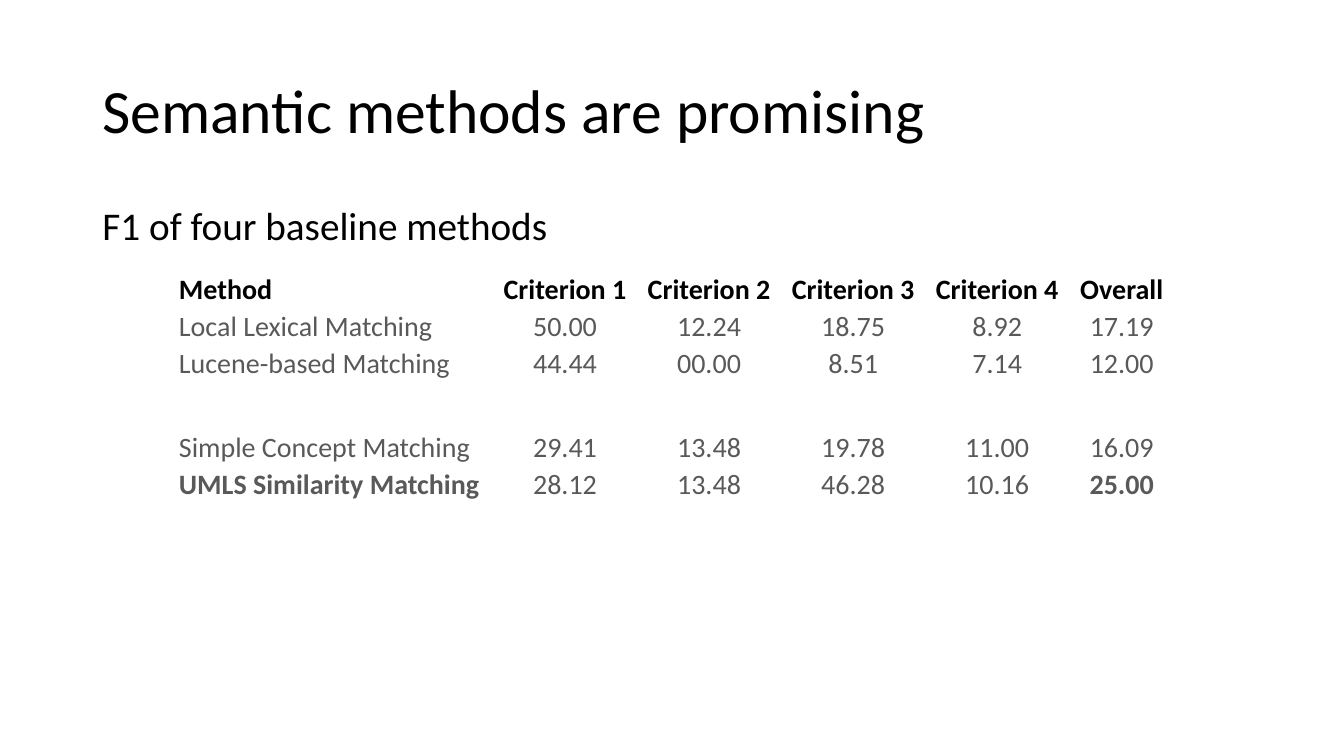
from pptx import Presentation
from pptx.dml.color import RGBColor
from pptx.enum import text
from pptx.util import Pt
from lxml import etree

COLORS = {"ink": "000000", "grey": "595959"}
FONT = "Calibri"
ALIGN = text.PP_ALIGN
ANCHOR = text.MSO_ANCHOR

TITLE_BOX = (66, 28.8, 828, 104.4)
BODY_BOX = (66, 144, 828, 342.72)
TABLE_BOX = (122.4, 192.96, 716.4, 165.6)
COLUMN_WIDTHS = (229.8, 102.9, 102.9, 102.9, 102.9, 75)
GAP_HEIGHT = 33.6

RESULTS = [
    ("Method", "Criterion 1", "Criterion 2", "Criterion 3", "Criterion 4", "Overall"),
    ("Local Lexical Matching", "50.00", "12.24", "18.75", "8.92", "17.19"),
    ("Lucene-based Matching", "44.44", "00.00", "8.51", "7.14", "12.00"),
    (),
    ("Simple Concept Matching", "29.41", "13.48", "19.78", "11.00", "16.09"),
    ("UMLS Similarity Matching", "28.12", "13.48", "46.28", "10.16", "25.00"),
]


def assign(target, values):
    for name, value in values.items():
        setattr(target, name, value)


def write(frame, words, size, color="ink", bold=False, **layout):
    para = frame.paragraphs[0]
    assign(para, layout)
    span = para.add_run()
    span.text = words
    assign(span.font, {"name": FONT, "size": Pt(size), "bold": bold})
    span.font.color.rgb = RGBColor.from_string(COLORS[color])
    return para


def place_text(holder, box, words, size, anchor, space_before):
    assign(holder, dict(zip(("left", "top", "width", "height"), map(Pt, box))))
    assign(holder.text_frame, {
        "word_wrap": True,
        "auto_size": text.MSO_AUTO_SIZE.NONE,
        "vertical_anchor": anchor,
    })
    return write(holder.text_frame, words, size, alignment=ALIGN.LEFT,
                 line_spacing=0.9, space_before=Pt(space_before))


def add_title(page, box):
    place_text(page.shapes.title, box, "Semantic methods are promising",
               44, ANCHOR.MIDDLE, 0)


def add_body(page, box):
    para = place_text(page.placeholders[1], box, "F1 of four baseline methods",
                      28, ANCHOR.TOP, 10)
    properties = para._p.get_or_add_pPr()
    properties.set("marL", "0")
    properties.set("indent", "0")
    namespace = properties.nsmap["a"]
    etree.SubElement(properties, f"{{{namespace}}}buNone")


def add_results(page, box):
    table = page.shapes.add_table(len(RESULTS), len(COLUMN_WIDTHS), *map(Pt, box)).table
    assign(table, {"first_row": False, "horz_banding": False})
    for column, width in zip(table.columns, COLUMN_WIDTHS):
        column.width = Pt(width)
    text_height = (box[3] - GAP_HEIGHT) / (len(RESULTS) - 1)
    last_row, last_column = len(RESULTS) - 1, len(COLUMN_WIDTHS) - 1
    for r, values in enumerate(RESULTS):
        table.rows[r].height = Pt(text_height if values else GAP_HEIGHT)
        for cell in table.rows[r].cells:
            cell.fill.background()
            assign(cell, {
                "margin_left": Pt(5.4), "margin_right": Pt(5.4),
                "margin_top": 0, "margin_bottom": 0,
            })
        for c, words in enumerate(values):
            first = ALIGN.JUSTIFY if r else ALIGN.LEFT
            write(table.cell(r, c).text_frame, words, 20,
                  color="grey" if r else "ink",
                  bold=r == 0 or (r == last_row and c in (0, last_column)),
                  alignment=ALIGN.CENTER if c else first,
                  line_spacing=1.07)


def main():
    deck = Presentation()
    assign(deck, {"slide_width": Pt(960), "slide_height": Pt(540)})
    page = deck.slides.add_slide(deck.slide_layouts[1])
    add_title(page, TITLE_BOX)
    add_body(page, BODY_BOX)
    add_results(page, TABLE_BOX)
    deck.save("out.pptx")


if __name__ == "__main__":
    main()
